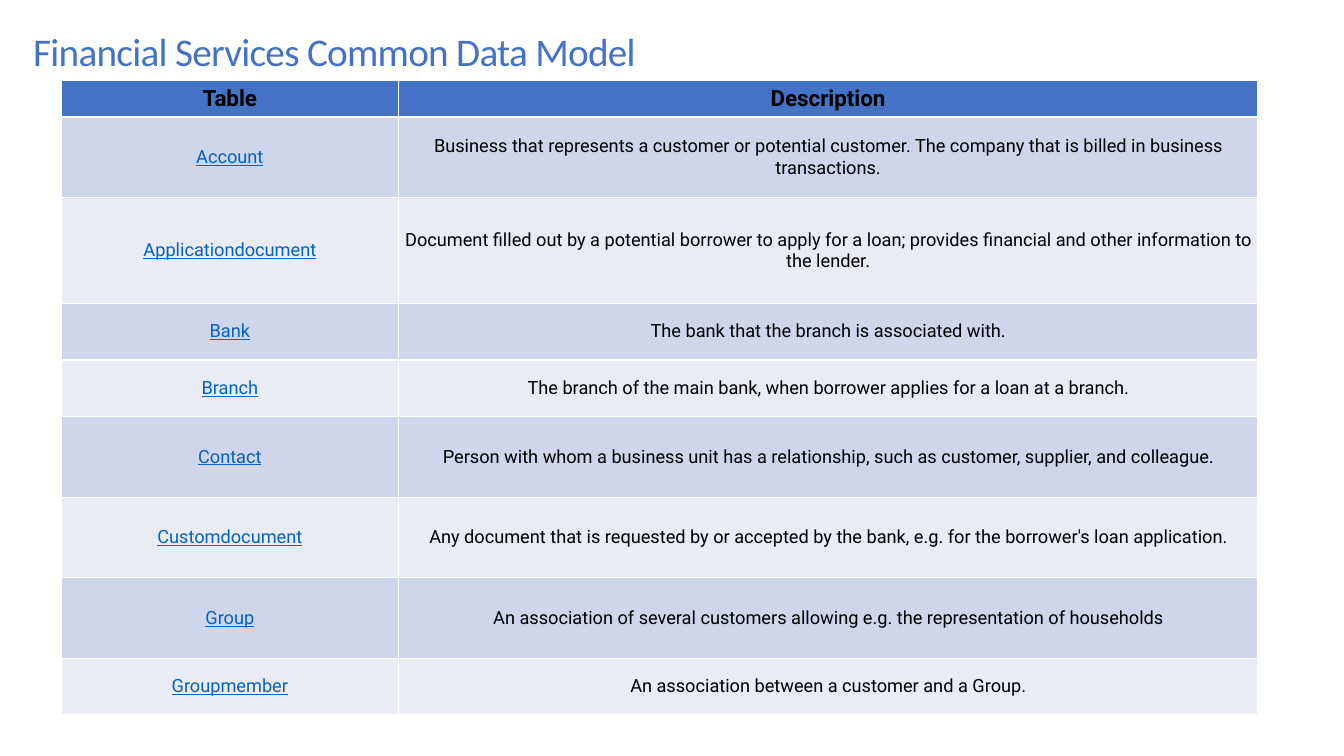
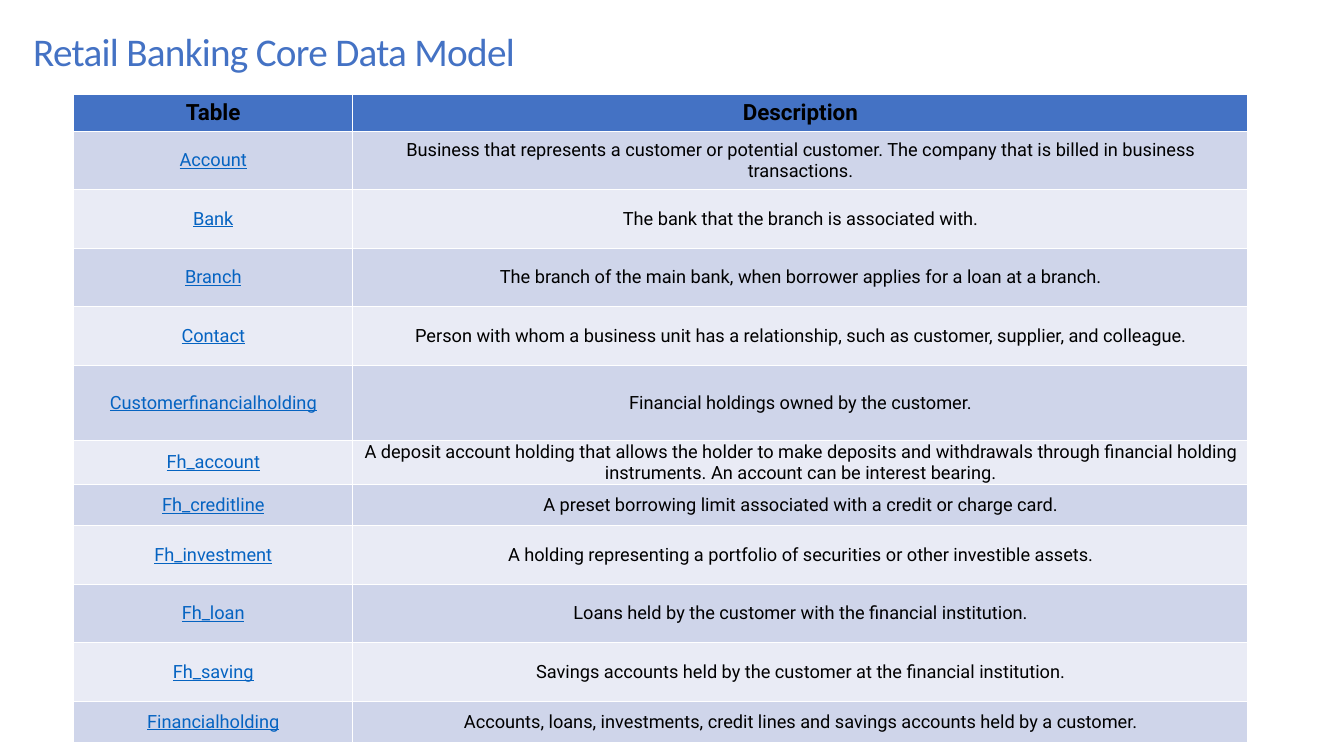
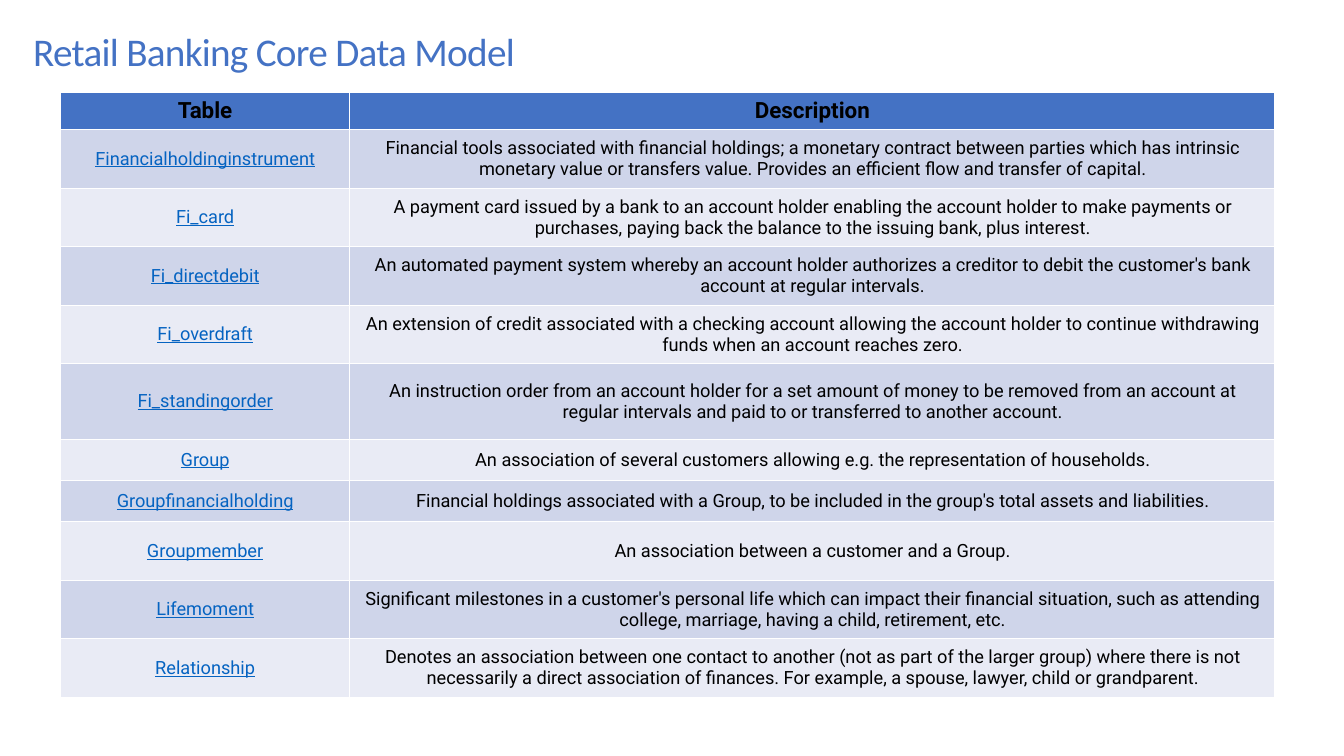
from pptx import Presentation
from pptx.dml.color import RGBColor
from pptx.enum.text import MSO_ANCHOR, PP_ALIGN
from pptx.util import Pt

MIDDLE = MSO_ANCHOR.MIDDLE
CENTER = PP_ALIGN.CENTER

BLUE = RGBColor(0x44, 0x72, 0xC4)
LINK_BLUE = RGBColor(0x05, 0x63, 0xC1)
BLACK = RGBColor(0x00, 0x00, 0x00)
BANDS = (RGBColor(0xCF, 0xD5, 0xEA), RGBColor(0xE9, 0xEB, 0xF5))

TITLE_FONT = "Calibri"
TABLE_FONT = "Roboto"
HEADER_HEIGHT = 26
HEADER = (HEADER_HEIGHT, "Table", "Description")

# Each table row: height in points, table name, description
COMMON_ROWS = [
    (57.6, "Account", "Business that represents a customer or potential customer. "
     "The company that is billed in business transactions."),
    (75.6, "Applicationdocument", "Document filled out by a potential borrower to apply "
     "for a loan; provides financial and other information to the lender."),
    (40.4, "Bank", "The bank that the branch is associated with."),
    (40.4, "Branch", "The branch of the main bank, when borrower applies for a loan "
     "at a branch."),
    (57.6, "Contact", "Person with whom a business unit has a relationship, such as "
     "customer, supplier, and colleague."),
    (57.6, "Customdocument", "Any document that is requested by or accepted by the bank, "
     "e.g. for the borrower's loan application."),
    (57.6, "Group", "An association of several customers allowing e.g. the "
     "representation of households"),
    (40.4, "Groupmember", "An association between a customer and a Group."),
]

HOLDING_ROWS = [
    (41.8, "Account", "Business that represents a customer or potential customer. "
     "The company that is billed in business transactions."),
    (41.8, "Bank", "The bank that the branch is associated with."),
    (41.8, "Branch", "The branch of the main bank, when borrower applies for a loan "
     "at a branch."),
    (41.8, "Contact", "Person with whom a business unit has a relationship, such as "
     "customer, supplier, and colleague."),
    (54, "Customerfinancialholding", "Financial holdings owned by the customer."),
    (29.5, "Fh_account", "A deposit account holding that allows the holder to make "
     "deposits and withdrawals through financial holding instruments. "
     "An account can be interest bearing."),
    (29.5, "Fh_creditline", "A preset borrowing limit associated with a credit or "
     "charge card."),
    (41.8, "Fh_investment", "A holding representing a portfolio of securities or other "
     "investible assets."),
    (41.8, "Fh_loan", "Loans held by the customer with the financial institution."),
    (41.8, "Fh_saving", "Savings accounts held by the customer at the financial "
     "institution."),
    (29.5, "Financialholding", "Accounts, loans, investments, credit lines and savings "
     "accounts held by a customer."),
]

INSTRUMENT_ROWS = [
    (41.8, "Financialholdinginstrument", "Financial tools associated with financial "
     "holdings; a monetary contract between parties which has intrinsic monetary value "
     "or transfers value. Provides an efficient flow and transfer of capital."),
    (41.8, "Fi_card", "A payment card issued by a bank to an account holder enabling the "
     "account holder to make payments or purchases, paying back the balance to the "
     "issuing bank, plus interest."),
    (41.8, "Fi_directdebit", "An automated payment system whereby an account holder "
     "authorizes a creditor to debit the customer's bank account at regular intervals."),
    (41.8, "Fi_overdraft", "An extension of credit associated with a checking account "
     "allowing the account holder to continue withdrawing funds when an account "
     "reaches zero."),
    (54, "Fi_standingorder", "An instruction order from an account holder for a set "
     "amount of money to be removed from an account at regular intervals and paid to "
     "or transferred to another account."),
    (29.5, "Group", "An association of several customers allowing e.g. the "
     "representation of households."),
    (29.5, "Groupfinancialholding", "Financial holdings associated with a Group, to be "
     "included in the group's total assets and liabilities."),
    (41.8, "Groupmember", "An association between a customer and a Group."),
    (41.8, "Lifemoment", "Significant milestones in a customer's personal life which can "
     "impact their financial situation, such as attending college, marriage, having a "
     "child, retirement, etc."),
    (41.8, "Relationship", "Denotes an association between one contact to another (not "
     "as part of the larger group) where there is not necessarily a direct association "
     "of finances. For example, a spouse, lawyer, child or grandparent."),
]

# Title, table left and top, column widths, cell margins (x, y), rows
SLIDES = [
    ("Financial Services Common Data Model", 43.9, 57.6, (240.5, 614.2), (0, 0),
     COMMON_ROWS),
    ("Retail Banking Core Data Model", 52.6, 67.7, (199.4, 639.4), (0, 0),
     HOLDING_ROWS),
    ("Retail Banking Core Data Model", 43.2, 66.2, (206.6, 661), (7.2, 3.6),
     INSTRUMENT_ROWS),
]


def add_title(s, text):
    tf = s.shapes.add_textbox(Pt(16.6), Pt(18.7), Pt(867.6), Pt(38.9)).text_frame
    tf.word_wrap = True
    tf.vertical_anchor = MIDDLE
    p = tf.paragraphs[0]
    p.line_spacing = 0.9
    p.font.name = TITLE_FONT
    p.font.size = Pt(28)
    p.font.color.rgb = BLUE
    r = p.add_run()
    r.text = text
    r._r.get_or_add_rPr().set("spc", "-50")


def add_model_table(s, left, top, widths, margins, rows):
    """Add a banded table; its style draws the white borders."""
    rows = [HEADER] + rows
    height = sum(row[0] for row in rows)
    table = s.shapes.add_table(len(rows), len(widths), Pt(left), Pt(top),
                               Pt(sum(widths)), Pt(height)).table
    for column, width in zip(table.columns, widths):
        column.width = Pt(width)
    for i, (row_height, *texts) in enumerate(rows):
        is_header = i == 0
        table.rows[i].height = Pt(row_height)
        for j, text in enumerate(texts):
            is_link = j == 0 and not is_header
            cell = table.cell(i, j)
            cell.fill.solid()
            cell.fill.fore_color.rgb = BLUE if is_header else BANDS[(i - 1) % 2]
            cell.vertical_anchor = MIDDLE
            cell.margin_left = cell.margin_right = Pt(margins[0])
            cell.margin_top = cell.margin_bottom = Pt(margins[1])
            p = cell.text_frame.paragraphs[0]
            p.text = text
            p.alignment = CENTER
            p.font.name = TABLE_FONT
            p.font.size = Pt(16 if is_header else 13)
            p.font.bold = is_header
            p.font.underline = is_link
            p.font.color.rgb = LINK_BLUE if is_link else BLACK


prs = Presentation()
prs.slide_width = Pt(960)
prs.slide_height = Pt(540)
blank = prs.slide_layouts[6]

for title, left, top, widths, margins, rows in SLIDES:
    s = prs.slides.add_slide(blank)
    add_title(s, title)
    add_model_table(s, left, top, widths, margins, rows)

prs.save("out.pptx")
